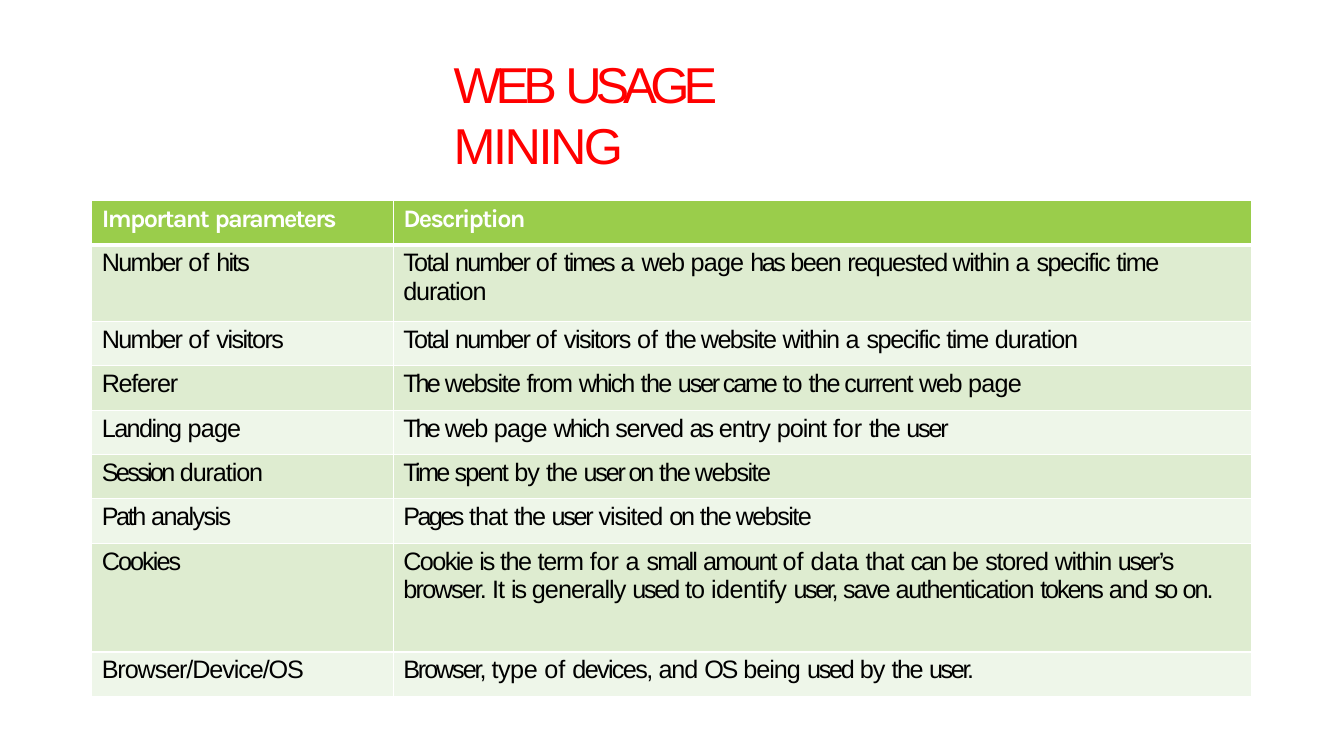
from itertools import groupby
from lxml import etree
from pptx import Presentation
from pptx.dml.color import RGBColor
from pptx.enum.text import MSO_ANCHOR, MSO_AUTO_SIZE, PP_ALIGN
from pptx.oxml.ns import qn
from pptx.util import Inches, Pt

TOP, LEFT, FIXED = MSO_ANCHOR.TOP, PP_ALIGN.LEFT, MSO_AUTO_SIZE.NONE
RED = RGBColor(0xFF, 0x00, 0x00)
WHITE = RGBColor(0xFF, 0xFF, 0xFF)
BLACK = RGBColor(0x00, 0x00, 0x00)
GREEN = RGBColor(0x9A, 0xCD, 0x4B)
BANDS = RGBColor(0xEE, 0xF6, 0xE9), RGBColor(0xDE, 0xEC, 0xD0)

TITLE = {"size": Pt(36), "name": "Arial", "bold": False}
HEAD = {"size": Pt(18), "name": "Karla", "bold": True}
BODY = {"size": Pt(18), "name": "Arial", "bold": False}

TIGHT = -1.1
GROUPS = {
    0: "of", -0.1: "a for", -0.2: "data", -0.3: "type", -0.4: "identify",
    -0.6: "page by be", -0.7: "to entry that It generally being",
    -0.8: "duration point visited and Browser/Device/OS",
    -0.9: "Referer from term stored",
    -1: "web requested within specific served authentication",
    -1.2: "Important Description Number Total browser. devices,",
    -1.3: "parameters spent small",
    -1.4: "hits number which Cookies amount save on.",
    -1.5: "times can tokens Browser,",
    -1.6: "user came as on is user’s used OS",
    -1.7: "Path user, user.", -1.8: "has Pages MINING",
    -1.9: "Session Time", -2: "so", -2.1: "The", -4.1: "WEB", -4.4: "USAGE",
}
SPACING = {word: gap for gap, words in GROUPS.items() for word in words.split()}

ROWS = [
    ("Important parameters", "Description"),
    ("Number of hits", "Total number of times a web page has been requested "
     "within a specific time duration"),
    ("Number of visitors", "Total number of visitors of the website within "
     "a specific time duration"),
    ("Referer", "The website from which the user came to the current web page"),
    ("Landing page", "The web page which served as entry point for the user"),
    ("Session duration", "Time spent by the user on the website"),
    ("Path analysis", "Pages that the user visited on the website"),
    ("Cookies", "Cookie is the term for a small amount of data that can be "
     "stored within user’s\nbrowser. It is generally used to identify user, "
     "save authentication tokens and so on."),
    ("Browser/Device/OS", "Browser, type of devices, and OS being used by the user."),
]
LINE = 0.44
TALL = {1: 0.76, 7: 1.08}
SPLIT = 0.26


def style(item, values):
    for name, value in values.items():
        setattr(item, name, value)


def write(para, text, font, color):
    words = text.split()
    pairs = [(word + " ", SPACING.get(word, TIGHT)) for word in words[:-1]]
    pairs.append((words[-1], SPACING.get(words[-1], TIGHT)))
    for gap, group in groupby(pairs, key=lambda pair: pair[1]):
        run = para.add_run()
        run.text = "".join(word for word, _ in group)
        style(run.font, font)
        run.font.color.rgb = color
        run.font._element.set("spc", str(round(gap * 100)))


def edge(cell, side, width):
    line = etree.SubElement(cell._tc.get_or_add_tcPr(), qn("a:ln" + side),
                            w=str(Pt(width)))
    fill = etree.SubElement(line, qn("a:solidFill"))
    etree.SubElement(fill, qn("a:srgbClr"), val=str(WHITE))


def add_title(slide, left, top, width, height):
    title = slide.shapes.title
    style(title, {"left": left, "top": top, "width": width, "height": height})
    frame = title.text_frame
    style(frame, {"word_wrap": True, "auto_size": FIXED, "vertical_anchor": TOP,
                  "margin_left": Inches(0.02), "margin_right": Inches(0.3),
                  "margin_top": Inches(0.01), "margin_bottom": 0})
    para = frame.paragraphs[0]
    style(para, {"alignment": LEFT, "line_spacing": 1.0, "space_before": Pt(1)})
    write(para, "WEB USAGE MINING", TITLE, RED)


def fill_cell(cell, text, row):
    style(cell, {"margin_left": Inches(0.1), "margin_right": Inches(0.2),
                 "margin_top": Inches(0.04), "margin_bottom": 0,
                 "vertical_anchor": TOP})
    edges = {"L": 1, "R": 1, "T": 3 if row == 1 else 1, "B": 1 if row else 3}
    for side, width in edges.items():
        edge(cell, side, width)
    cell.fill.solid()
    cell.fill.fore_color.rgb = BANDS[row % 2] if row else GREEN
    frame = cell.text_frame
    for index, part in enumerate(text.split("\n")):
        para = frame.add_paragraph() if index else frame.paragraphs[0]
        para.space_before = Pt(0 if index else 2.8)
        write(para, part, BODY if row else HEAD, BLACK if row else WHITE)


def add_grid(slide, left, top, width):
    sizes = [Inches(TALL.get(row, LINE)) for row in range(len(ROWS))]
    grid = slide.shapes.add_table(len(ROWS), 2, left, top, width, sum(sizes)).table
    style(grid, {"first_row": False, "horz_banding": False})
    first = round(width * SPLIT)
    for column, size in zip(grid.columns, (first, width - first)):
        column.width = size
    for row, texts in enumerate(ROWS):
        grid.rows[row].height = sizes[row]
        for column, text in enumerate(texts):
            fill_cell(grid.cell(row, column), text, row)


def main():
    deck = Presentation()
    style(deck, {"slide_width": Inches(13.33), "slide_height": Inches(7.5)})
    slide = deck.slides.add_slide(deck.slide_layouts[5])
    add_title(slide, Inches(4.48), Inches(0.52), Inches(4.38), Inches(0.63))
    add_grid(slide, Inches(0.91), Inches(1.99), Inches(11.5))
    deck.save("out.pptx")


if __name__ == "__main__":
    main()
